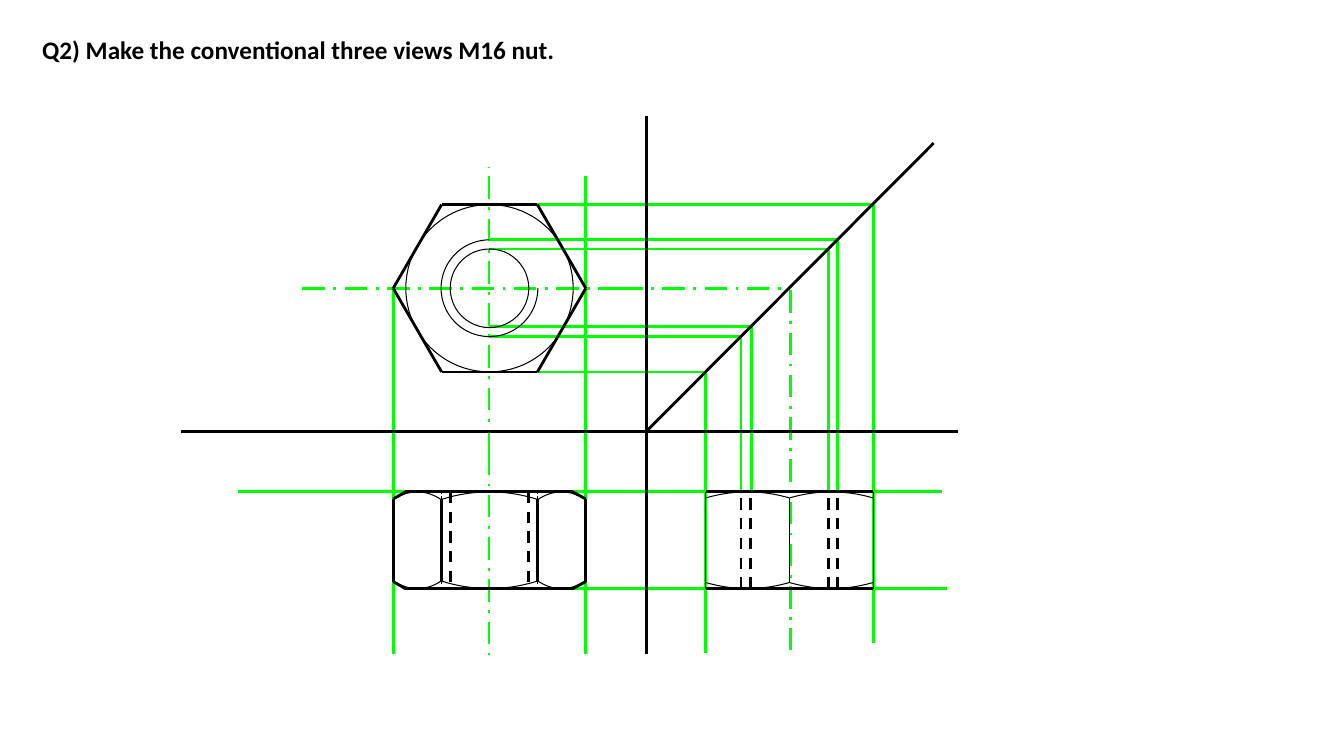
from math import cos, pi, sin

from lxml.etree import SubElement
from pptx import Presentation
from pptx.dml.color import RGBColor
from pptx.enum.dml import MSO_LINE
from pptx.enum.shapes import MSO_CONNECTOR, MSO_SHAPE
from pptx.enum.text import MSO_AUTO_SIZE
from pptx.oxml.ns import qn
from pptx.util import Inches, Pt

BLACK, GREEN = "000000", "00FF00"
CENTRE_X, CENTRE_Y = 4.855, 2.86
AXIS_X, AXIS_Y = 6.41, 4.28
TOP, BOTTOM = 4.88, 5.84
HEXAGON = [(3.9, 2.86), (4.38, 2.03), (5.33, 2.03), (5.81, 2.86), (5.33, 3.69), (4.38, 3.69)]


def colour(value):
    """Turn a hex string into a colour."""
    return RGBColor.from_string(value)


def style_line(line, value=BLACK, width=0, dash=None):
    """Set colour, width and dash of a line."""
    line.color.rgb = colour(value)
    formats = {"width": Pt(width), "dash_style": dash}
    for name, setting in formats.items():
        setattr(line, name, setting)


def style_outline(shape):
    """Leave a shape with only a thin black outline."""
    shape.shadow.inherit = False
    shape.fill.background()
    style_line(shape.line)


def add_title(slide, text):
    """Add the question at the top of the slide."""
    shape = slide.shapes.add_textbox(Inches(0.32), Inches(0.29), Inches(13.01), Inches(0.4))
    frame = shape.text_frame
    frame.word_wrap = True
    frame.auto_size = MSO_AUTO_SIZE.SHAPE_TO_FIT_TEXT
    paragraph = frame.paragraphs[0]
    run = paragraph.add_run()
    run.text = text
    formats = {"name": "Calibri", "size": Pt(18), "bold": True}
    for name, setting in formats.items():
        setattr(run.font, name, setting)
    run.font.color.rgb = colour(BLACK)


def add_line(slide, start, end, value=BLACK, width=0, dash=None):
    """Draw a straight line between two points."""
    connector = slide.shapes.add_connector(
        MSO_CONNECTOR.STRAIGHT, *(Inches(length) for length in (*start, *end)))
    style_line(connector.line, value, width, dash)
    SubElement(connector._element.spPr, qn("a:effectLst"))


def add_curve(slide, points):
    """Draw an open curve through the points."""
    places = [(Inches(x), Inches(y)) for x, y in points]
    builder = slide.shapes.build_freeform(*places[0])
    builder.add_line_segments(places[1:], close=False)
    style_outline(builder.convert_to_shape())


def add_circle(slide, radius):
    """Draw a circle about the centre of the nut."""
    shape = slide.shapes.add_shape(
        MSO_SHAPE.OVAL, Inches(CENTRE_X - radius), Inches(CENTRE_Y - radius),
        Inches(2 * radius), Inches(2 * radius))
    style_outline(shape)


def add_thread_arc(slide, radius, steps=60):
    """Draw the three-quarter circle of the thread."""
    angles = [pi / 2 + 1.5 * pi * step / steps for step in range(steps + 1)]
    add_curve(slide, [(CENTRE_X + radius * cos(angle), CENTRE_Y - radius * sin(angle))
                      for angle in angles])


def add_chamfers(slide, left, right, middle, bend, steps=15):
    """Draw one face's chamfer curve on both the top and the bottom edge."""
    places = [left + (right - left) * step / steps for step in range(steps + 1)]
    for edge, direction in ((TOP, 1), (BOTTOM, -1)):
        add_curve(slide, [(x, edge + direction * bend * (x - middle) ** 2) for x in places])


def add_projections(slide):
    """Draw the green construction lines and centre lines."""
    projected = [(2.03, 5.33, 6.38), (3.69, 5.33, 6.48), (2.38, 4.85, TOP),
                 (3.34, 4.85, TOP), (3.24, 4.85, TOP), (2.47, 4.85, TOP)]
    for y, left, bottom in projected:
        corner = (AXIS_X + AXIS_Y - y, y)
        add_line(slide, (left, y), corner, GREEN)
        add_line(slide, corner, (corner[0], bottom), GREEN)
    construction = [((2.36, TOP), (9.34, TOP)), ((5.68, BOTTOM), (9.39, BOTTOM)),
                    ((3.9, 2.87), (3.9, 6.49)), ((5.81, 1.75), (5.81, 6.49))]
    for start, end in construction:
        add_line(slide, start, end, GREEN)
    centre_lines = [((4.85, 4.49), (4.85, 1.66)), ((4.85, 4.49), (4.85, 6.54)),
                    ((3, 2.86), (6.15, 2.86)), ((6.15, 2.86), (7.83, 2.86)),
                    ((7.84, 2.88), (7.84, 6.45))]
    for start, end in centre_lines:
        add_line(slide, start, end, GREEN, dash=MSO_LINE.LONG_DASH_DOT)


def add_axes(slide):
    """Draw the two axes and the mitre line."""
    add_line(slide, (1.8, AXIS_Y), (9.5, AXIS_Y))
    add_line(slide, (AXIS_X, 1.15), (AXIS_X, 6.49))
    add_line(slide, (AXIS_X, AXIS_Y), (9.26, 1.42))


def add_plan(slide):
    """Draw the hexagonal view of the nut."""
    for start, end in zip(HEXAGON, HEXAGON[1:] + HEXAGON[:1]):
        add_line(slide, start, end)
    add_circle(slide, 0.83)
    add_circle(slide, 0.39)
    add_thread_arc(slide, 0.48)


def add_front(slide):
    """Draw the view of the nut with three faces."""
    for left, right, middle, bend in ((3.93, 4.38, 4.14, 1.36), (4.38, 5.33, CENTRE_X, 0.33),
                                      (5.33, 5.78, 5.57, 1.36)):
        add_chamfers(slide, left, right, middle, bend)
    for edge, inner in ((TOP, 4.95), (BOTTOM, 5.77)):
        add_line(slide, (4.02, edge), (5.68, edge))
        for corner, end in ((3.9, 4.02), (5.81, 5.68)):
            add_line(slide, (corner, inner), (end, edge))
        for x in (4.38, 5.33):
            add_line(slide, (x, inner), (x, edge), width=0.5, dash=MSO_LINE.DASH)
    for x in (3.9, 4.38, 5.33, 5.81):
        add_line(slide, (x, 5.77), (x, 4.95))
    for x in (4.47, 5.24):
        add_line(slide, (x, TOP), (x, BOTTOM), dash=MSO_LINE.DASH)


def add_side(slide):
    """Draw the view of the nut with two faces."""
    for left in (7, 7.83):
        add_chamfers(slide, left, left + 0.83, left + 0.415, 0.35)
    for edge in (TOP, BOTTOM):
        add_line(slide, (7, edge), (8.66, edge))
    for x, top, bottom in ((7, TOP, BOTTOM), (7.83, 4.94, 5.78), (8.66, TOP, BOTTOM)):
        add_line(slide, (x, bottom), (x, top), width=0.5)
    for x in (7.35, 7.44, 8.22, 8.31):
        add_line(slide, (x, BOTTOM), (x, TOP), dash=MSO_LINE.DASH)


def main():
    """Build and save the slide."""
    presentation = Presentation()
    presentation.slide_width = Inches(13.33)
    presentation.slide_height = Inches(7.5)
    slide = presentation.slides.add_slide(presentation.slide_layouts[6])
    add_title(slide, "Q2) Make the conventional three views M16 nut.")
    add_projections(slide)
    add_axes(slide)
    add_plan(slide)
    add_front(slide)
    add_side(slide)
    presentation.save("out.pptx")


if __name__ == "__main__":
    main()
